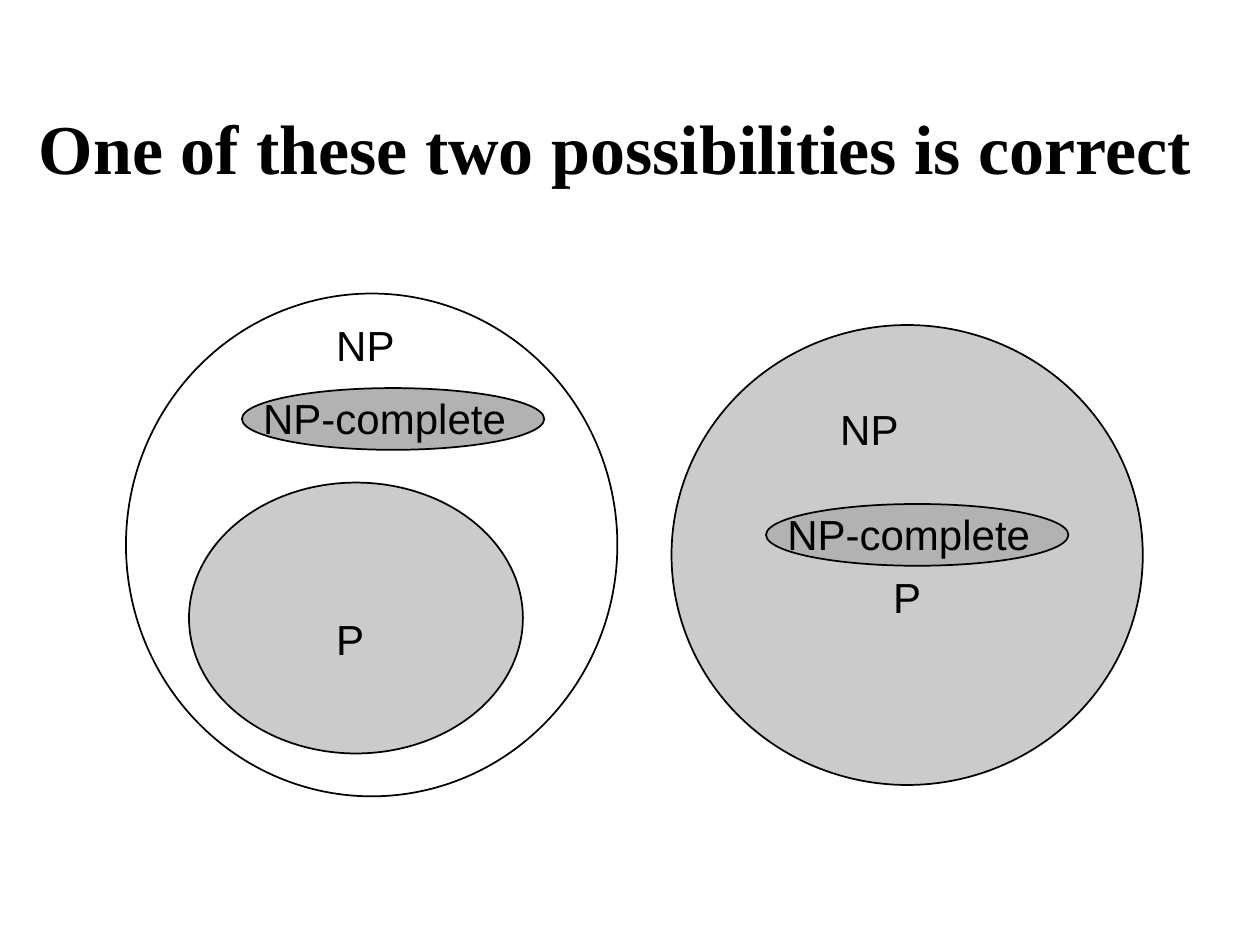
from pptx import Presentation
from pptx.dml.color import RGBColor
from pptx.enum.shapes import MSO_SHAPE
from pptx.util import Inches, Pt

SLIDE_WIDTH, SLIDE_HEIGHT = Inches(10), Inches(7.5)
COLUMN, ROW = SLIDE_WIDTH / 10, SLIDE_HEIGHT / 7.5
BLACK, GREY, DARK_GREY = "000000", "CBCBCB", "B2B2B2"
COMPLETE_SIZE = (2.4, 0.49)


def color(value):
    """Turn a hex string into a colour."""
    return RGBColor.from_string(value)


def to_lengths(box):
    """Turn a box in columns and rows into slide lengths."""
    left, top, width, height = box
    return int(left * COLUMN), int(top * ROW), int(width * COLUMN), int(height * ROW)


def within(box, left, top, width, height):
    """Return a box placed relative to the corner of another box."""
    return box[0] + left, box[1] + top, width, height


def add_ellipse(page, box, fill=None):
    """Draw a thin black ellipse, filled when a colour is given."""
    ellipse = page.shapes.add_shape(MSO_SHAPE.OVAL, *to_lengths(box))
    ellipse.shadow.inherit = False
    ellipse.line.color.rgb = color(BLACK)
    ellipse.line.width = Pt(1)
    if fill:
        ellipse.fill.solid()
        ellipse.fill.fore_color.rgb = color(fill)
    else:
        ellipse.fill.background()


def add_text(page, box, text, size=24, font="Arial", bold=False):
    """Write one line of black text."""
    label = page.shapes.add_textbox(*to_lengths(box))
    label.text_frame.word_wrap = True
    para = label.text_frame.paragraphs[0]
    para.text = text
    span = para.runs[0]
    span.font.name = font
    span.font.size = Pt(size)
    span.font.bold = bold
    span.font.color.rgb = color(BLACK)


def add_complete_set(page, box):
    """Draw the NP-complete ellipse with its label."""
    add_ellipse(page, box, DARK_GREY)
    add_text(page, within(box, 0.07, -0.01, 2.59, 0.5), "NP-complete")


def add_class_diagram(page, box, np_at, complete_at, p_at, p_set=None):
    """Draw NP and its subsets; without a separate P set, P fills all of NP."""
    add_ellipse(page, box, None if p_set else GREY)
    if p_set:
        add_ellipse(page, within(box, *p_set), GREY)
    add_complete_set(page, within(box, *complete_at, *COMPLETE_SIZE))
    add_text(page, within(box, *np_at, 1.09, 0.5), "NP")
    add_text(page, within(box, *p_at, 1.01, 0.5), "P")


def main():
    """Build and save the slide."""
    deck = Presentation()
    deck.slide_width, deck.slide_height = SLIDE_WIDTH, SLIDE_HEIGHT
    page = deck.slides.add_slide(deck.slide_layouts[6])
    add_class_diagram(page, (1, 2.33, 3.9, 3.99), np_at=(1.57, 0.16),
                      complete_at=(0.92, 0.75), p_at=(1.57, 2.49),
                      p_set=(0.5, 1.5, 2.65, 2.15))
    add_class_diagram(page, (5.33, 2.58, 3.74, 3.65), np_at=(1.24, 0.57),
                      complete_at=(0.75, 1.42), p_at=(1.66, 1.91))
    add_text(page, (0.21, 0.78, 9.55, 0.76),
             "One of these two possibilities is correct",
             size=40, font="Times New Roman", bold=True)
    deck.save("out.pptx")


if __name__ == "__main__":
    main()
